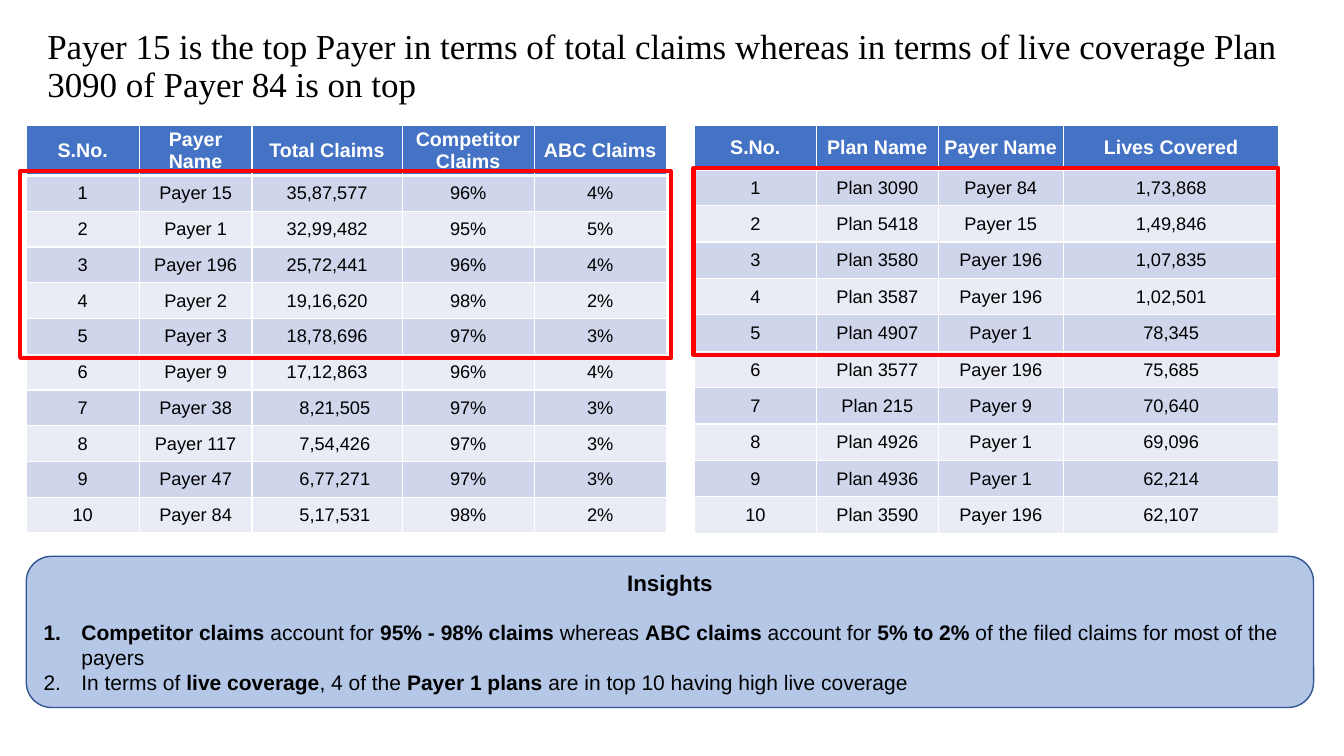
from dataclasses import dataclass

from lxml import etree
from pptx import Presentation
from pptx.dml.color import RGBColor
from pptx.enum.shapes import MSO_SHAPE
from pptx.enum.text import MSO_ANCHOR, MSO_AUTO_SIZE, PP_ALIGN
from pptx.oxml.ns import qn
from pptx.util import Pt

RECTANGLE = MSO_SHAPE.RECTANGLE
ROUNDED = MSO_SHAPE.ROUNDED_RECTANGLE
MIDDLE = MSO_ANCHOR.MIDDLE
BOTTOM = MSO_ANCHOR.BOTTOM
LEFT = PP_ALIGN.LEFT
CENTER = PP_ALIGN.CENTER
NO_AUTOFIT = MSO_AUTO_SIZE.NONE
TITLE_ONLY = 5


@dataclass(frozen=True)
class Theme:
    heading_font: str = "Times New Roman"
    body_font: str = "Arial"
    black: str = "000000"
    white: str = "FFFFFF"
    header: str = "4472C4"
    bands: tuple = ("CFD5EA", "E9EBF5")
    panel: str = "B4C7E7"
    panel_edge: str = "325491"
    highlight: str = "FF0000"
    title_size: float = 25
    header_size: float = 14
    cell_size: float = 13
    insights_size: float = 16
    point_size: float = 15


THEME = Theme()

TITLE = ("Payer 15 is the top Payer in terms of total claims whereas in terms of "
         "live coverage Plan 3090 of Payer 84 is on top")

CLAIMS_HEADER = ("S.No.", "Payer Name", "Total Claims", "Competitor Claims", "ABC Claims")
CLAIMS = [
    ("Payer 15", "35,87,577", "96%", "4%"),
    ("Payer 1", "32,99,482", "95%", "5%"),
    ("Payer 196", "25,72,441", "96%", "4%"),
    ("Payer 2", "19,16,620", "98%", "2%"),
    ("Payer 3", "18,78,696", "97%", "3%"),
    ("Payer 9", "17,12,863", "96%", "4%"),
    ("Payer 38", "8,21,505", "97%", "3%"),
    ("Payer 117", "7,54,426", "97%", "3%"),
    ("Payer 47", "6,77,271", "97%", "3%"),
    ("Payer 84", "5,17,531", "98%", "2%"),
]

LIVES_HEADER = ("S.No.", "Plan Name", "Payer Name", "Lives Covered")
LIVES = [
    ("Plan 3090", "Payer 84", "1,73,868"),
    ("Plan 5418", "Payer 15", "1,49,846"),
    ("Plan 3580", "Payer 196", "1,07,835"),
    ("Plan 3587", "Payer 196", "1,02,501"),
    ("Plan 4907", "Payer 1", "78,345"),
    ("Plan 3577", "Payer 196", "75,685"),
    ("Plan 215", "Payer 9", "70,640"),
    ("Plan 4926", "Payer 1", "69,096"),
    ("Plan 4936", "Payer 1", "62,214"),
    ("Plan 3590", "Payer 196", "62,107"),
]

INSIGHTS = [
    [("Competitor claims ", True), ("account for ", False), ("95% - 98% claims ", True),
     ("whereas ", False), ("ABC claims ", True), ("account for ", False),
     ("5% to 2% ", True), ("of the filed claims for most of the payers", False)],
    [("In terms of ", False), ("live coverage", True), (", 4 of the ", False),
     ("Payer 1 plans ", True), ("are in top 10 having high live coverage", False)],
]


def rgb(value):
    return RGBColor.from_string(value)


def write(paragraph, content, *, size, font=THEME.body_font, color=THEME.black,
          bold=False, align=CENTER, spacing=None, after=0):
    paragraph.alignment = align
    paragraph.space_before = Pt(0)
    paragraph.space_after = Pt(after)
    if spacing:
        paragraph.line_spacing = spacing
    pieces = [(content, bold)] if isinstance(content, str) else content
    for text, strong in pieces:
        run = paragraph.add_run()
        run.text = text
        run.font.name = font
        run.font.size = Pt(size)
        run.font.bold = strong
        run.font.color.rgb = rgb(color)


def number(paragraph, indent):
    properties = paragraph._p.get_or_add_pPr()
    properties.set("marL", str(Pt(indent)))
    properties.set("indent", str(-Pt(indent)))
    etree.SubElement(properties, qn("a:buFont"), typeface="+mj-lt")
    etree.SubElement(properties, qn("a:buAutoNum"), type="arabicPeriod")


def add_title(slide):
    title = slide.shapes.title
    title.left, title.top, title.width, title.height = map(Pt, (26.6, 26.6, 897, 51.8))
    frame = title.text_frame
    frame.word_wrap = True
    frame.auto_size = NO_AUTOFIT
    frame.vertical_anchor = BOTTOM
    write(frame.paragraphs[0], TITLE, size=THEME.title_size, font=THEME.heading_font,
          align=LEFT, spacing=0.9)


def set_borders(cell, top, bottom):
    properties = cell._tc.get_or_add_tcPr()
    for side, width in (("L", 1), ("R", 1), ("T", top), ("B", bottom)):
        border = etree.SubElement(properties, qn(f"a:ln{side}"), w=str(Pt(width)))
        fill = etree.SubElement(border, qn("a:solidFill"))
        etree.SubElement(fill, qn("a:srgbClr"), val=THEME.white)


def fill_cell(cell, text, row, inset):
    is_header = row == 0
    set_borders(cell, 3 if row == 1 else 1, 3 if is_header else 1)
    cell.fill.solid()
    cell.fill.fore_color.rgb = rgb(THEME.header if is_header else THEME.bands[(row - 1) % 2])
    cell.vertical_anchor = MIDDLE
    cell.margin_left = Pt(inset)
    cell.margin_right = cell.margin_top = Pt(0.5)
    cell.margin_bottom = Pt(0)
    write(cell.text_frame.paragraphs[0], text, bold=is_header,
          size=THEME.header_size if is_header else THEME.cell_size,
          color=THEME.white if is_header else THEME.black)


def add_ranking(slide, header, records, left, widths, header_height):
    top, height = 89.3, 291.6
    rows = [header] + [(str(rank), *record) for rank, record in enumerate(records, 1)]
    table = slide.shapes.add_table(len(rows), len(header), Pt(left), Pt(top),
                                   Pt(sum(widths)), Pt(height)).table
    table.first_row = table.horz_banding = False
    for column, width in zip(table.columns, widths):
        column.width = Pt(width)
    for row, values in enumerate(rows):
        table.rows[row].height = Pt(
            (height - header_height) / len(records) if row else header_height)
        for column, text in enumerate(values):
            is_short_total = row and header[column] == "Total Claims" and len(text) < 9
            fill_cell(table.cell(row, column), text, row, 11.5 if is_short_total else 0.5)


def add_box(slide, kind, left, top, width, height, line, line_width, fill=None):
    box = slide.shapes.add_shape(kind, Pt(left), Pt(top), Pt(width), Pt(height))
    box.shadow.inherit = False
    box.line.color.rgb = rgb(line)
    box.line.width = Pt(line_width)
    if fill:
        box.fill.solid()
        box.fill.fore_color.rgb = rgb(fill)
    else:
        box.fill.background()
    return box


def add_insights(slide):
    panel = add_box(slide, ROUNDED, 18.8, 397.4, 919.5, 108, THEME.panel_edge, 1, THEME.panel)
    frame = panel.text_frame
    frame.word_wrap = True
    frame.vertical_anchor = MIDDLE
    write(frame.paragraphs[0], "Insights", size=THEME.insights_size, bold=True, after=17)
    for point in INSIGHTS:
        paragraph = frame.add_paragraph()
        write(paragraph, point, size=THEME.point_size, align=LEFT)
        number(paragraph, 27)


def main():
    presentation = Presentation()
    presentation.slide_width, presentation.slide_height = Pt(960), Pt(540)
    slide = presentation.slides.add_slide(presentation.slide_layouts[TITLE_ONLY])
    add_title(slide)
    add_ranking(slide, CLAIMS_HEADER, CLAIMS, 18.8, (80.6, 80.6, 107.3, 94.3, 94.3), 36)
    add_insights(slide)
    add_box(slide, RECTANGLE, 14.4, 122.4, 465, 133.2, THEME.highlight, 3)
    add_ranking(slide, LIVES_HEADER, LIVES, 496, (87.1, 87.1, 89.3, 154.1), 31.6)
    add_box(slide, RECTANGLE, 495.4, 120.2, 417.6, 133.2, THEME.highlight, 3)
    presentation.save("out.pptx")


if __name__ == "__main__":
    main()
